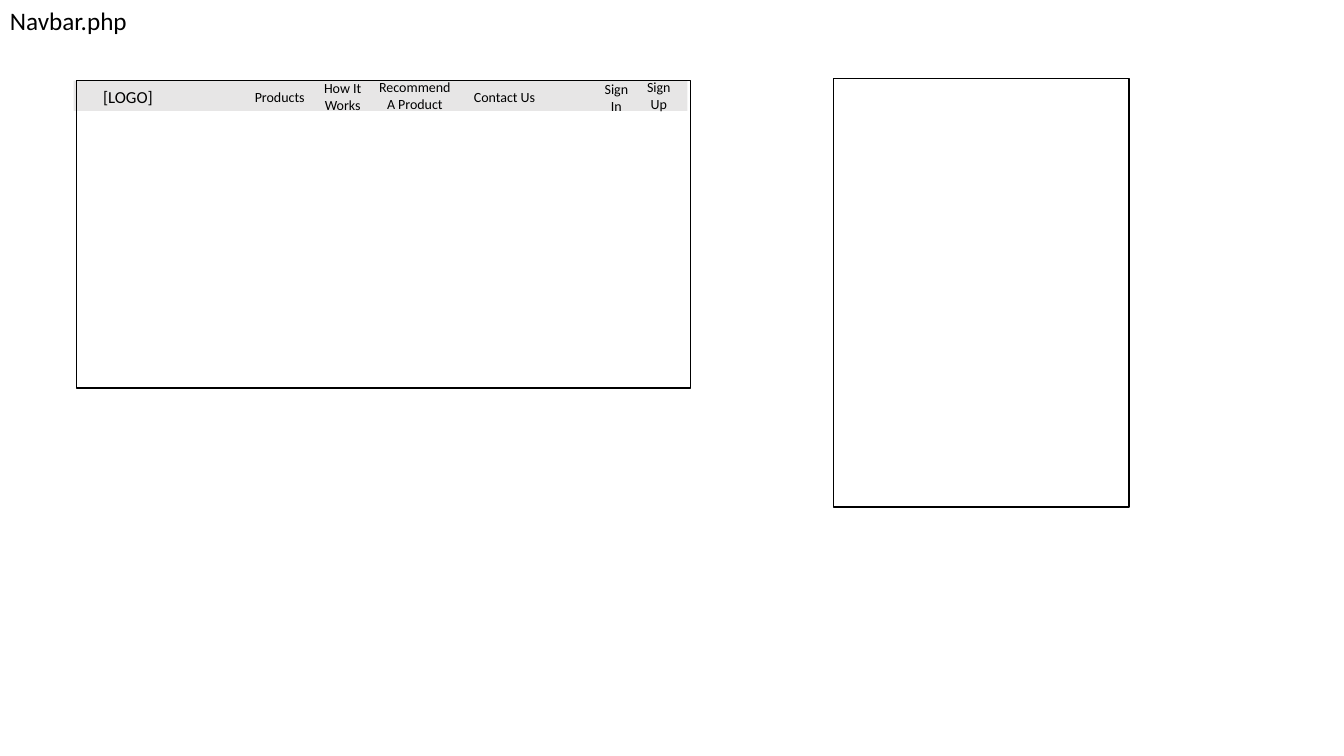
"""Build the navbar wireframe slide."""
from dataclasses import dataclass

import pptx
import pptx.dml.color
import pptx.enum.shapes
import pptx.enum.text
import pptx.util
from pptx.util import Pt


@dataclass(frozen=True)
class Theme:
    """Colours, font and type sizes."""
    ink: str = "000000"
    bar: str = "E7E6E6"
    font: str = "Calibri"
    title_size: int = 18
    logo_size: int = 12
    link_size: int = 10


@dataclass(frozen=True)
class Box:
    """Position and size in points."""
    left: float
    top: float
    width: float
    height: float

    def lengths(self) -> tuple[pptx.util.Length, ...]:
        """Return left, top, width and height as slide lengths."""
        return Pt(self.left), Pt(self.top), Pt(self.width), Pt(self.height)


@dataclass(frozen=True)
class Label:
    """A centred text on the navigation bar."""
    text: str
    left: float
    top: float
    width: float
    size: int


THEME = Theme()
BAR_HEIGHT = 21.6
TITLE = Box(0, 0, 154, 29)
BAR = Box(52.6, 57.6, 438.5, BAR_HEIGHT)
DESKTOP_FRAME = Box(54.7, 57.6, 438.5, 219.6)
MOBILE_FRAME = Box(595.4, 56.2, 211, 306)
LABELS = (
    Label("[LOGO]", 54.7, 58.3, 73.4, THEME.logo_size),
    Label("Sign Up", 452.2, 57.6, 36.7, THEME.link_size),
    Label("Sign In", 421.9, 59, 36.7, THEME.link_size),
    Label("How It Works", 222.5, 58.3, 44.6, THEME.link_size),
    Label("Recommend A Product", 262.1, 57.6, 68.4, THEME.link_size),
    Label("Products", 173.5, 58.3, 52.6, THEME.link_size),
    Label("Contact Us", 330.5, 58.3, 59.8, THEME.link_size),
)


def add_rectangle(slide, box: Box, fill: str = "", line: str = "") -> None:
    """Add a rectangle with an optional fill and outline."""
    shape = slide.shapes.add_shape(
        pptx.enum.shapes.MSO_SHAPE.RECTANGLE, *box.lengths())
    shape.shadow.inherit = False
    if fill:
        shape.fill.solid()
        shape.fill.fore_color.rgb = pptx.dml.color.RGBColor.from_string(fill)
    else:
        shape.fill.background()
    if line:
        shape.line.color.rgb = pptx.dml.color.RGBColor.from_string(line)
        shape.line.width = Pt(1)
    else:
        shape.line.fill.background()


def add_text(slide, box: Box, text: str, size: int, centred: bool) -> None:
    """Add a wrapped text box, centred both ways or at the top left."""
    text_frame = slide.shapes.add_textbox(*box.lengths()).text_frame
    text_frame.word_wrap = True
    text_frame.text = text
    paragraph = text_frame.paragraphs[0]
    if centred:
        text_frame.vertical_anchor = pptx.enum.text.MSO_ANCHOR.MIDDLE
        paragraph.alignment = pptx.enum.text.PP_ALIGN.CENTER
    else:
        text_frame.auto_size = pptx.enum.text.MSO_AUTO_SIZE.SHAPE_TO_FIT_TEXT
    font = paragraph.runs[0].font
    font.name = THEME.font
    font.size = Pt(size)
    font.color.rgb = pptx.dml.color.RGBColor.from_string(THEME.ink)


def main() -> None:
    """Build and save the presentation."""
    presentation = pptx.Presentation()
    presentation.slide_width = Pt(960)
    presentation.slide_height = Pt(540)
    slide = presentation.slides.add_slide(presentation.slide_layouts[6])

    add_rectangle(slide, BAR, fill=THEME.bar)
    for label in LABELS:
        box = Box(label.left, label.top, label.width, BAR_HEIGHT)
        add_text(slide, box, label.text, label.size, centred=True)
    add_text(slide, TITLE, "Navbar.php", THEME.title_size, centred=False)
    for frame in (DESKTOP_FRAME, MOBILE_FRAME):
        add_rectangle(slide, frame, line=THEME.ink)

    presentation.save("out.pptx")


main()
